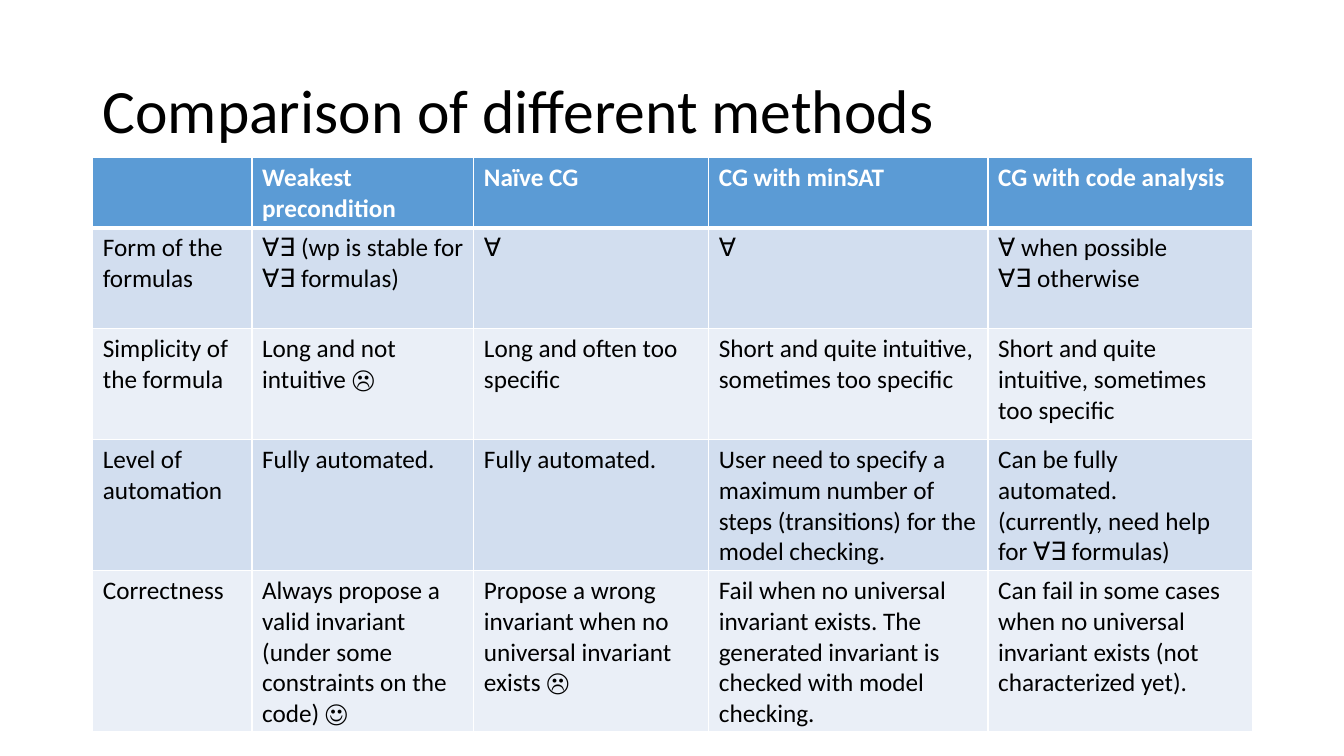
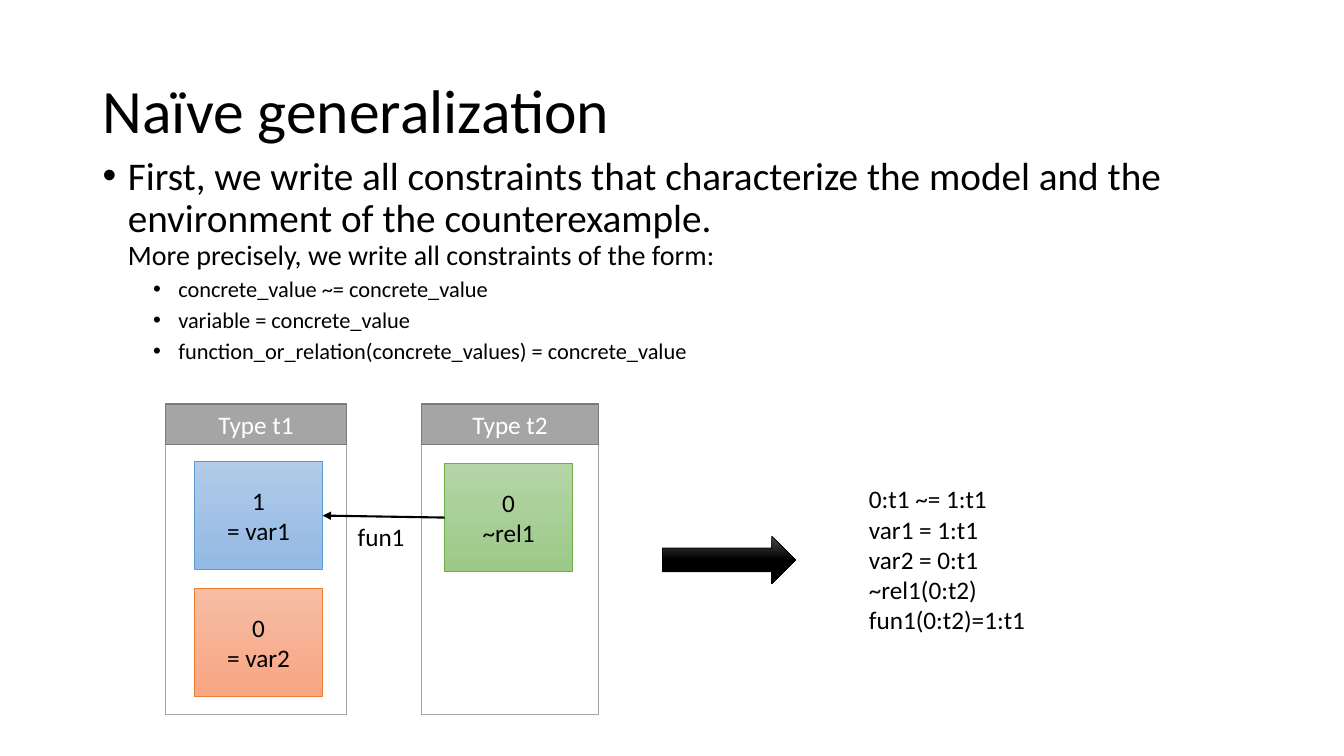
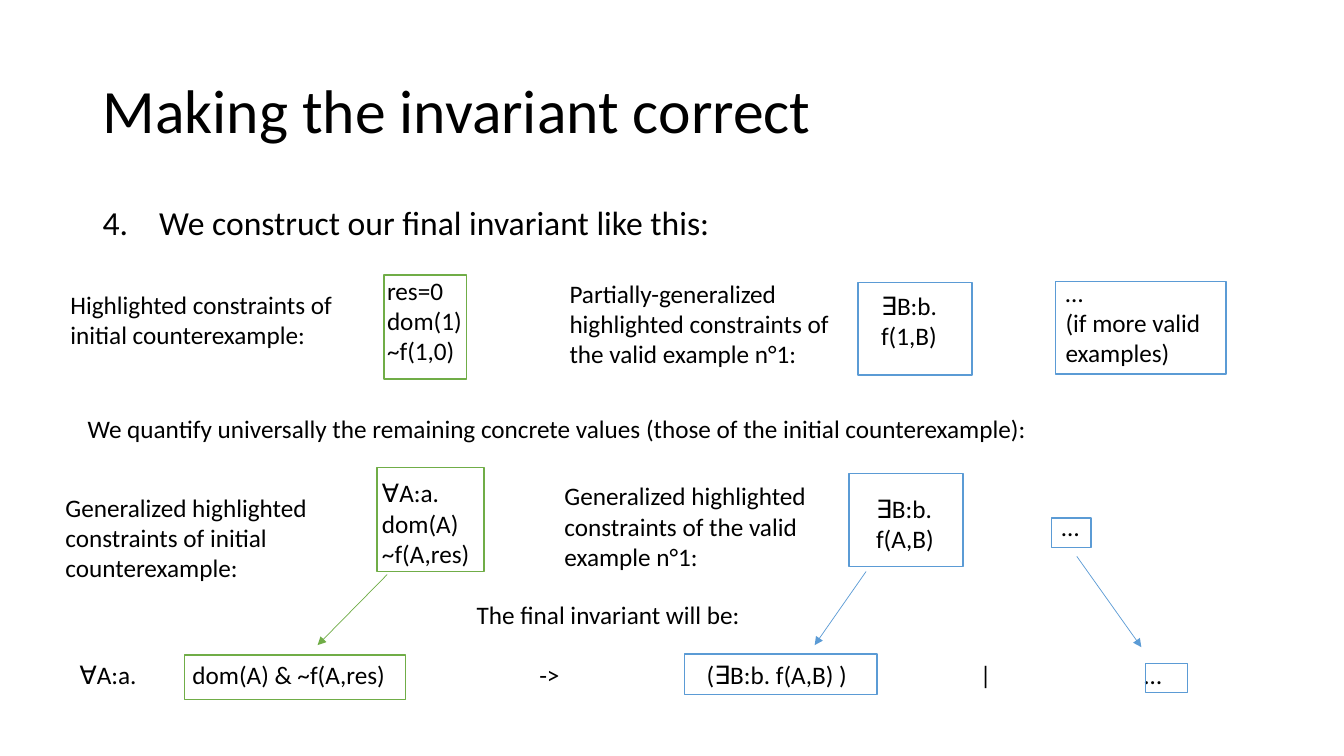
"""Build three slides on generalizing counterexamples into invariants."""
import lxml.etree
import pptx
import pptx.dml.color
import pptx.enum.shapes
import pptx.enum.text
import pptx.oxml.ns
import pptx.util

Inches = pptx.util.Inches
Pt = pptx.util.Pt
RGBColor = pptx.dml.color.RGBColor
SHAPE = pptx.enum.shapes.MSO_SHAPE
ALIGN = pptx.enum.text.PP_ALIGN
ANCHOR = pptx.enum.text.MSO_ANCHOR
qn = pptx.oxml.ns.qn
SubElement = lxml.etree.SubElement

FONT = "Calibri"
COLORS = {
    "black": "000000", "white": "FFFFFF", "charcoal": "4B4B4B",
    "gray": "A5A5A5", "dark gray": "7A7A7A",
    "blue": "5B9BD5", "blue top": "B1CBE9", "blue bottom": "93B9E4",
    "orange": "ED7D31", "orange top": "F7BDA5", "orange bottom": "F8A582",
    "green": "70AD47", "green top": "B5D5A7", "green bottom": "9CC987",
    "band dark": "D2DEEF", "band light": "EAEFF7",
}
RGB = {name: RGBColor.from_string(value) for name, value in COLORS.items()}


def add_box(slide, area, text="", kind=None, fill=None, line=None, line_width=1,
            size=18, color="black", align=None, anchor=None):
    """Add a text box, or a preset shape when a kind is given."""
    area = [Inches(length) for length in area]
    if kind is None:
        shape = slide.shapes.add_textbox(*area)
    else:
        shape = slide.shapes.add_shape(kind, *area)
        shape.shadow.inherit = False
        shape.line.color.rgb = RGB[line]
        shape.line.width = Pt(line_width)
        if fill is None:
            shape.fill.background()
        elif isinstance(fill, str):
            shape.fill.solid()
            shape.fill.fore_color.rgb = RGB[fill]
        else:
            shape.fill.gradient()
            shape.fill.gradient_angle = 270
            for stop, name in zip(shape.fill.gradient_stops, fill):
                stop.color.rgb = RGB[name]
    text_frame = shape.text_frame
    text_frame.word_wrap = True
    if anchor is not None:
        text_frame.vertical_anchor = anchor
    if text:
        text_frame.text = text
    for paragraph in text_frame.paragraphs:
        paragraph.alignment = align
        for run in paragraph.runs:
            run.font.name = FONT
            run.font.size = Pt(size)
            run.font.color.rgb = RGB[color]
    return shape


def add_arrow(slide, start, end, color, width):
    """Add a straight connector with an arrowhead at its end."""
    connector = slide.shapes.add_connector(
        pptx.enum.shapes.MSO_CONNECTOR.STRAIGHT,
        *[Inches(length) for length in (*start, *end)])
    connector.line.color.rgb = RGB[color]
    connector.line.width = Pt(width)
    SubElement(connector.line._get_or_add_ln(), qn("a:tailEnd"), type="triangle")
    SubElement(connector._element.spPr, qn("a:effectLst"))
    return connector


presentation = pptx.Presentation()
presentation.slide_width = Inches(13.33)
presentation.slide_height = Inches(7.5)
slides = []
for title in ("Comparison of different methods", "Naïve generalization",
              "Making the invariant correct"):
    slide = presentation.slides.add_slide(presentation.slide_layouts[6])
    title_box = add_box(slide, (0.92, 0.4, 11.5, 1.45), title, size=44,
                        anchor=ANCHOR.MIDDLE)
    title_box.text_frame.paragraphs[0].line_spacing = 0.9
    slides.append(slide)
comparison_slide, naive_slide, invariant_slide = slides

methods = [
    ["", "Weakest precondition", "Naïve CG", "CG with minSAT",
     "CG with code analysis"],
    ["Form of the formulas", "∀∃ (wp is stable for ∀∃ formulas)", "∀", "∀",
     "∀ when possible\n∀∃ otherwise"],
    ["Simplicity of the formula", "Long and not intuitive ☹",
     "Long and often too specific",
     "Short and quite intuitive, sometimes too specific",
     "Short and quite intuitive, sometimes too specific"],
    ["Level of automation", "Fully automated.", "Fully automated.",
     "User need to specify a maximum number of steps (transitions) for the "
     "model checking.",
     "Can be fully automated.\n(currently, need help for ∀∃ formulas)"],
    ["Correctness",
     "Always propose a valid invariant (under some constraints on the code) ☺",
     "Propose a wrong invariant when no universal invariant exists ☹",
     "Fail when no universal invariant exists. The generated invariant is "
     "checked with model checking.",
     "Can fail in some cases when no universal invariant exists (not "
     "characterized yet)."],
]
table = comparison_slide.shapes.add_table(
    len(methods), len(methods[0]),
    Inches(0.92), Inches(1.56), Inches(11.5), Inches(5.29)).table
for column, width in zip(table.columns, (1.58, 2.2, 2.33, 2.77, 2.62)):
    column.width = Inches(width)
for row, height in zip(table.rows, (0.69, 1, 1.1, 1.02, 1.48)):
    row.height = Inches(height)
row_fills = ("blue", "band dark", "band light", "band dark", "band light")
for row_index, (texts, row_fill) in enumerate(zip(methods, row_fills)):
    is_header = row_index == 0
    border_widths = {"L": 1, "R": 1, "T": 3 if row_index == 1 else 1,
                     "B": 3 if is_header else 1}
    for column_index, text in enumerate(texts):
        cell = table.cell(row_index, column_index)
        cell_properties = cell._tc.get_or_add_tcPr()
        for side, width in border_widths.items():
            border = SubElement(cell_properties, qn(f"a:ln{side}"), w=str(Pt(width)))
            border_fill = SubElement(border, qn("a:solidFill"))
            SubElement(border_fill, qn("a:srgbClr"), val=COLORS["white"])
        cell.fill.solid()
        cell.fill.fore_color.rgb = RGB[row_fill]
        cell.text_frame.text = text
        for paragraph in cell.text_frame.paragraphs:
            paragraph.font.size = Pt(18)
            for run in paragraph.runs:
                run.font.name = FONT
                run.font.size = Pt(18)
                run.font.bold = is_header
                run.font.color.rgb = RGB["white" if is_header else "black"]

constraints = add_box(
    naive_slide, (0.92, 1.5, 11.5, 2.2),
    "First, we write all constraints that characterize the model and the "
    "environment of the counterexample.\v"
    "More precisely, we write all constraints of the form:\n"
    "concrete_value ~= concrete_value\n"
    "variable = concrete_value\n"
    "function_or_relation(concrete_values) = concrete_value", size=16)
for index, paragraph in enumerate(constraints.text_frame.paragraphs):
    paragraph.level = min(index, 1)
    paragraph.line_spacing = 0.9
    paragraph.space_before = Pt(5 if index else 10)
    properties = paragraph._p.get_or_add_pPr()
    properties.set("marL", str(Inches(0.75 if index else 0.25)))
    properties.set("indent", str(Inches(-0.25)))
    SubElement(properties, qn("a:buFont"), typeface="Arial")
    SubElement(properties, qn("a:buChar"), char="•")
for run, size in zip(constraints.text_frame.paragraphs[0].runs, (28, 20)):
    run.font.size = Pt(size)

for name, left, width in (("Type t1", 1.64, 1.8), ("Type t2", 4.18, 1.76)):
    add_box(naive_slide, (left, 4.41, width, 2.68), kind=SHAPE.RECTANGLE,
            fill="white", line="gray")
    add_box(naive_slide, (left, 4.01, width, 0.4), name, SHAPE.RECTANGLE, "gray",
            "dark gray", color="white", align=ALIGN.CENTER, anchor=ANCHOR.MIDDLE)
values = {}
for color, left, top, text in (("orange", 1.93, 5.84, "0\n= var2"),
                               ("blue", 1.93, 4.58, "1\n= var1"),
                               ("green", 4.41, 4.6, "0\n~rel1")):
    values[color] = add_box(
        naive_slide, (left, top, 1.27, 1.07), text, SHAPE.RECTANGLE,
        (f"{color} top", f"{color} bottom"), color, 0.5,
        align=ALIGN.CENTER, anchor=ANCHOR.MIDDLE)
function_arrow = add_arrow(naive_slide, (4.41, 5.13), (3.2, 5.12), "black", 1.5)
function_arrow.begin_connect(values["green"], 1)
function_arrow.end_connect(values["blue"], 3)
add_box(naive_slide, (3.2, 5.12, 1.16, 0.4), "fun1", align=ALIGN.CENTER)
add_box(naive_slide, (8.52, 4.75, 2.37, 1.62),
        "0:t1 ~= 1:t1\nvar1 = 1:t1\vvar2 = 0:t1\v~rel1(0:t2)\vfun1(0:t2)=1:t1")
result_arrow = add_box(naive_slide, (6.57, 5.32, 1.32, 0.47),
                       kind=SHAPE.RIGHT_ARROW, fill=("charcoal", "black"),
                       line="black", line_width=0.5)
result_arrow.fill.gradient_stops[1].position = 0.5

step = add_box(invariant_slide, (0.92, 2, 11.5, 1.37),
               "We construct our final invariant like this:", size=24)
paragraph = step.text_frame.paragraphs[0]
paragraph.line_spacing = 0.9
paragraph.space_before = Pt(10)
properties = paragraph._p.get_or_add_pPr()
properties.set("marL", str(Inches(0.56)))
properties.set("indent", str(Inches(-0.56)))
SubElement(properties, qn("a:buFont"), typeface=FONT)
SubElement(properties, qn("a:buAutoNum"), type="arabicPeriod", startAt="4")

for left, top, width, height, text in (
        (0.6, 2.82, 3.09, 0.71, "Highlighted constraints of initial counterexample:"),
        (3.74, 2.68, 1.41, 1.01, "res=0\ndom(1)\n~f(1,0)"),
        (5.55, 2.71, 3.01, 1.01, "Partially-generalized highlighted constraints "
                                 "of the valid example n°1:"),
        (8.64, 2.83, 2.61, 0.71, "∃B:b.\vf(1,B)"),
        (10.47, 2.7, 2.18, 1.01, "…\v(if more valid examples)"),
        (0.77, 4.05, 10.64, 0.4, "We quantify universally the remaining concrete "
                                 "values (those of the initial counterexample):"),
        (0.55, 4.83, 3.09, 1.01, "Generalized highlighted constraints of initial "
                                 "counterexample:"),
        (3.69, 4.69, 1.41, 1.01, "∀A:a.\ndom(A)\n~f(A,res)"),
        (5.5, 4.72, 3.01, 1.01, "Generalized highlighted constraints of the valid "
                                "example n°1:"),
        (8.59, 4.84, 2.61, 0.71, "∃B:b.\vf(A,B)"),
        (10.43, 5.02, 2.18, 0.4, "…"),
        (4.63, 5.9, 2.94, 0.4, "The final invariant will be:")):
    add_box(invariant_slide, (left, top, width, height), text)

for start, end, color in (((3.84, 5.7), (3.15, 6.4), "green"),
                          ((8.59, 5.67), (8.08, 6.4), "blue"),
                          ((10.68, 5.52), (11.32, 6.42), "blue")):
    add_arrow(invariant_slide, start, end, color, 0.5)

final_invariant = add_box(
    invariant_slide, (0.69, 6.49, 11.92, 0.4),
    "∀A:a.\tdom(A) & ~f(A,res)\t->\t(∃B:b. f(A,B) )\t|\t…")
properties = final_invariant.text_frame.paragraphs[0]._p.get_or_add_pPr()
tab_stops = SubElement(properties, qn("a:tabLst"))
for position in (1.12, 4.56, 6.22, 8.93, 10.56):
    SubElement(tab_stops, qn("a:tab"), pos=str(Inches(position)), algn="l")

frames = {
    "green": ((3.81, 2.73, 0.82, 1.03), (3.74, 4.64, 1.06, 1.03),
              (1.83, 6.5, 2.19, 0.44)),
    "blue": ((8.51, 2.8, 1.13, 0.92), (8.42, 4.7, 1.13, 0.92),
             (10.47, 2.79, 1.69, 0.92), (10.43, 5.14, 0.39, 0.29),
             (6.79, 6.49, 1.91, 0.4), (11.36, 6.58, 0.42, 0.29)),
}
for color, areas in frames.items():
    for area in areas:
        add_box(invariant_slide, area, kind=SHAPE.RECTANGLE, line=color)

presentation.save("out.pptx")
